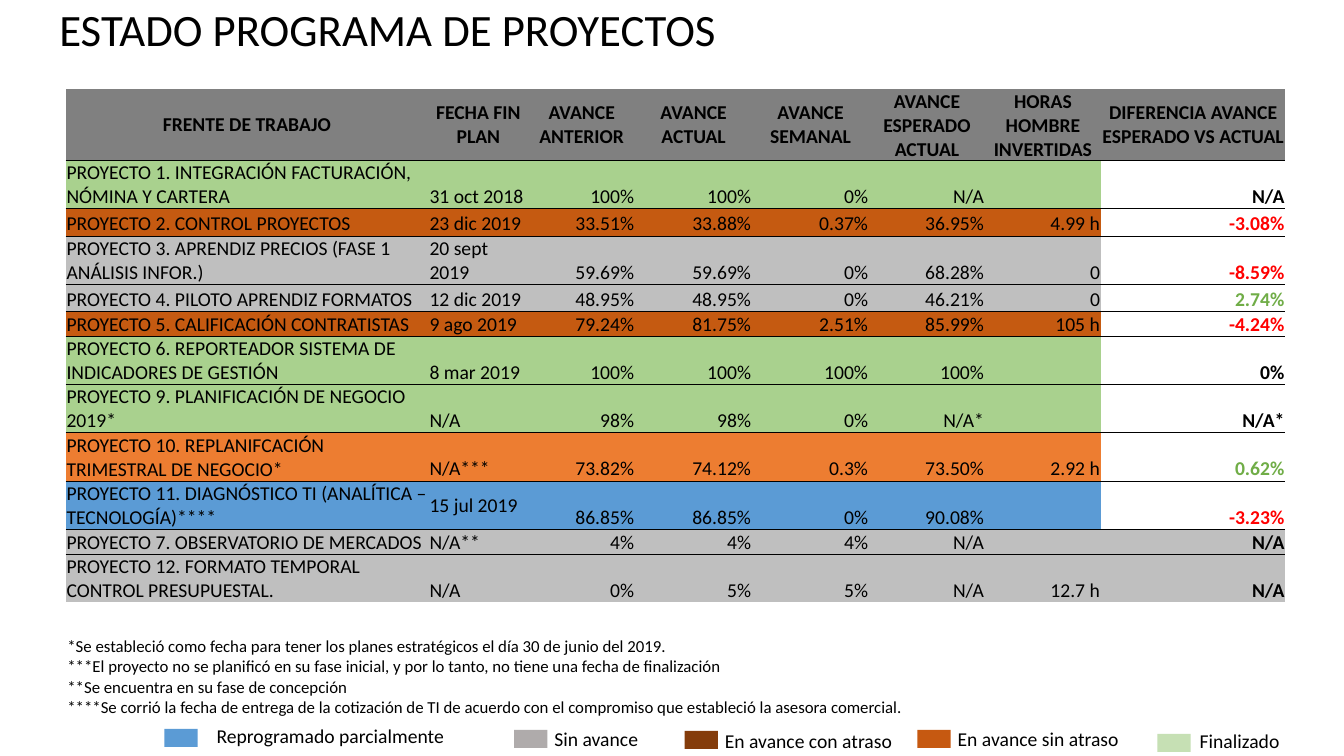
import dataclasses
import typing

import lxml.etree
import pptx
import pptx.dml.color
import pptx.enum.shapes
import pptx.enum.text
import pptx.oxml.ns
import pptx.util

EMU_PER_PX = 9144
FONT = "Calibri"
ANCHOR = pptx.enum.text.MSO_ANCHOR
ALIGN = pptx.enum.text.PP_ALIGN
COLORS = {
    "black": "000000", "white": "FFFFFF", "header": "808080", "done": "A9D18E",
    "on_time": "C55A11", "idle": "BFBFBF", "quarterly": "ED7D31", "moved": "5B9BD5",
    "behind": "FF0000", "ahead": "70AD47", "key_on_time": "C65911",
    "key_done": "C6E0B4", "key_late": "843C0B", "key_idle": "AFABAB",
}
COLUMN_WIDTHS = [360, 99, 106, 116, 116, 115, 115, 183]
HEADER_HEIGHT = 71
HEADERS = [
    "FRENTE DE TRABAJO", "FECHA FIN PLAN", "AVANCE ANTERIOR", "AVANCE ACTUAL",
    "AVANCE SEMANAL", "AVANCE ESPERADO ACTUAL", "HORAS HOMBRE INVERTIDAS",
    "DIFERENCIA AVANCE ESPERADO VS ACTUAL",
]
CELL_FORMAT = {"margin_left": 1, "margin_right": 1, "margin_top": 1, "margin_bottom": 0}
NOTES = [
    "*Se estableció como fecha para tener los planes estratégicos el día 30 de junio del 2019.",
    "***El proyecto no se planificó en su fase inicial, y por lo tanto, no tiene una fecha de finalización",
    "**Se encuentra en su fase de concepción",
    "****Se corrió la fecha de entrega de la cotización de TI de acuerdo con el compromiso que estableció la asesora comercial.",
]


@dataclasses.dataclass
class Project:
    height: int
    fill: str
    values: list[str]
    gap_color: str = "black"
    gap_fill: str = "white"
    date_anchor: typing.Any = ANCHOR.BOTTOM


@dataclasses.dataclass
class LegendKey:
    label: str
    color: str
    key_left: int
    key_top: int
    left: int
    top: int
    width: int


PROJECTS = [
    Project(48, "done", ["PROYECTO 1. INTEGRACIÓN FACTURACIÓN, NÓMINA Y CARTERA",
                         "31 oct 2018", "100%", "100%", "0%", "N/A", "", "N/A"]),
    Project(27, "on_time", ["PROYECTO 2. CONTROL PROYECTOS", "23 dic 2019", "33.51%",
                            "33.88%", "0.37%", "36.95%", "4.99 h", "-3.08%"], "behind"),
    Project(48, "idle", ["PROYECTO 3. APRENDIZ PRECIOS (FASE 1 ANÁLISIS INFOR.)",
                         "20 sept 2019", "59.69%", "59.69%", "0%", "68.28%", "0", "-8.59%"], "behind"),
    Project(27, "idle", ["PROYECTO 4. PILOTO APRENDIZ FORMATOS", "12 dic 2019", "48.95%",
                         "48.95%", "0%", "46.21%", "0", "2.74%"], "ahead"),
    Project(24, "on_time", ["PROYECTO 5. CALIFICACIÓN CONTRATISTAS", "9 ago 2019", "79.24%",
                            "81.75%", "2.51%", "85.99%", "105 h", "-4.24%"], "behind"),
    Project(48, "done", ["PROYECTO 6. REPORTEADOR SISTEMA DE INDICADORES DE GESTIÓN",
                         "8 mar 2019", "100%", "100%", "100%", "100%", "", "0%"]),
    Project(48, "done", ["PROYECTO 9. PLANIFICACIÓN DE NEGOCIO 2019*", "N/A", "98%",
                         "98%", "0%", "N/A*", "", "N/A*"]),
    Project(48, "quarterly", ["PROYECTO 10. REPLANIFCACIÓN TRIMESTRAL DE NEGOCIO*", "N/A***",
                              "73.82%", "74.12%", "0.3%", "73.50%", "2.92 h", "0.62%"], "ahead"),
    Project(48, "moved", ["PROYECTO 11. DIAGNÓSTICO TI (ANALÍTICA – TECNOLOGÍA)****",
                          "15 jul 2019", "86.85%", "86.85%", "0%", "90.08%", "", "-3.23%"],
            "behind", date_anchor=ANCHOR.MIDDLE),
    Project(24, "idle", ["PROYECTO 7. OBSERVATORIO DE MERCADOS", "N/A**", "4%", "4%", "4%",
                         "N/A", "", "N/A"], gap_fill="idle"),
    Project(48, "idle", ["PROYECTO 12. FORMATO TEMPORAL CONTROL PRESUPUESTAL.", "N/A", "0%",
                         "5%", "5%", "N/A", "12.7 h", "N/A"], gap_fill="idle"),
]
LEGEND = [
    LegendKey("Reprogramado parcialmente", "moved", 163, 723, 205, 713, 297),
    LegendKey("Sin avance", "key_idle", 510, 724, 540, 716, 130),
    LegendKey("En avance con atraso", "key_late", 679, 725, 709, 718, 193),
    LegendKey("En avance sin atraso", "key_on_time", 910, 724, 940, 716, 193),
    LegendKey("Finalizado", "key_done", 1148, 728, 1180, 718, 102),
]


def px(n: int) -> pptx.util.Emu:
    return pptx.util.Emu(n * EMU_PER_PX)


def rgb(name: str) -> pptx.dml.color.RGBColor:
    return pptx.dml.color.RGBColor.from_string(COLORS[name])


def write(p: typing.Any, text: str, size: int, color: str = "black", bold: bool = False) -> None:
    if not text:
        lxml.etree.SubElement(p._p, pptx.oxml.ns.qn("a:endParaRPr"), sz=str(size * 100))
        return
    r = p.add_run()
    r.text = text
    for name, value in {"name": FONT, "size": pptx.util.Pt(size), "bold": bold}.items():
        setattr(r.font, name, value)
    r.font.color.rgb = rgb(color)


def add_text(s: typing.Any, box: tuple[int, int, int, int], lines: list[str], size: int) -> None:
    tf = s.shapes.add_textbox(*map(px, box)).text_frame
    tf.word_wrap = True
    for i, line in enumerate(lines):
        write(tf.add_paragraph() if i else tf.paragraphs[0], line, size)


def add_border(cell: typing.Any, side: str, visible: bool) -> None:
    qn = pptx.oxml.ns.qn
    ln = lxml.etree.SubElement(cell._tc.get_or_add_tcPr(), qn(f"a:ln{side}"), w="6350")
    fill = lxml.etree.SubElement(ln, qn("a:solidFill" if visible else "a:noFill"))
    if visible:
        lxml.etree.SubElement(fill, qn("a:srgbClr"), val=COLORS["black"])


def fill_cell(cell: typing.Any, text: str, fill: str, align: typing.Any, anchor: typing.Any,
              color: str, bold: bool, top: bool, bottom: bool) -> None:
    for side, visible in {"L": False, "R": False, "T": top, "B": bottom}.items():
        add_border(cell, side, visible)
    cell.fill.solid()
    cell.fill.fore_color.rgb = rgb(fill)
    for name, value in CELL_FORMAT.items():
        setattr(cell, name, px(value))
    cell.vertical_anchor = anchor
    p = cell.text_frame.paragraphs[0]
    p.alignment = align
    write(p, text, 14, color, bold)


def add_status_table(s: typing.Any) -> None:
    heights = [HEADER_HEIGHT] + [project.height for project in PROJECTS]
    table = s.shapes.add_table(len(heights), len(HEADERS), px(65), px(88),
                               px(sum(COLUMN_WIDTHS)), px(sum(heights))).table
    table.first_row = table.horz_banding = False
    for column, width in zip(table.columns, COLUMN_WIDTHS):
        column.width = px(width)
    for row, height in zip(table.rows, heights):
        row.height = px(height)
    for c, text in enumerate(HEADERS):
        fill_cell(table.cell(0, c), text, "header", ALIGN.CENTER, ANCHOR.MIDDLE,
                  "black", True, False, True)
    gap_column = len(HEADERS) - 1
    for i, project in enumerate(PROJECTS, 1):
        for c, text in enumerate(project.values):
            is_gap = c == gap_column
            fill_cell(table.cell(i, c), text, project.gap_fill if is_gap else project.fill,
                      ALIGN.LEFT if c < 2 else ALIGN.RIGHT,
                      project.date_anchor if c == 1 else ANCHOR.BOTTOM,
                      project.gap_color if is_gap else "black", is_gap, True, i < len(PROJECTS))


def add_legend_key(s: typing.Any, key: LegendKey) -> None:
    sp = s.shapes.add_shape(pptx.enum.shapes.MSO_SHAPE.RECTANGLE,
                            *map(px, (key.key_left, key.key_top, 33, 18)))
    sp.shadow.inherit = False
    sp.fill.solid()
    sp.fill.fore_color.rgb = rgb(key.color)
    sp.line.fill.background()
    add_text(s, (key.left, key.top, key.width, 34), [key.label], 14)


def main() -> None:
    prs = pptx.Presentation()
    prs.slide_width, prs.slide_height = px(1333), px(750)
    s = prs.slides.add_slide(prs.slide_layouts[6])
    add_text(s, (49, -3, 957, 64), ["ESTADO PROGRAMA DE PROYECTOS"], 32)
    add_status_table(s)
    add_text(s, (57, 626, 1217, 91), NOTES, 12)
    for key in LEGEND:
        add_legend_key(s, key)
    prs.save("out.pptx")


if __name__ == "__main__":
    main()
